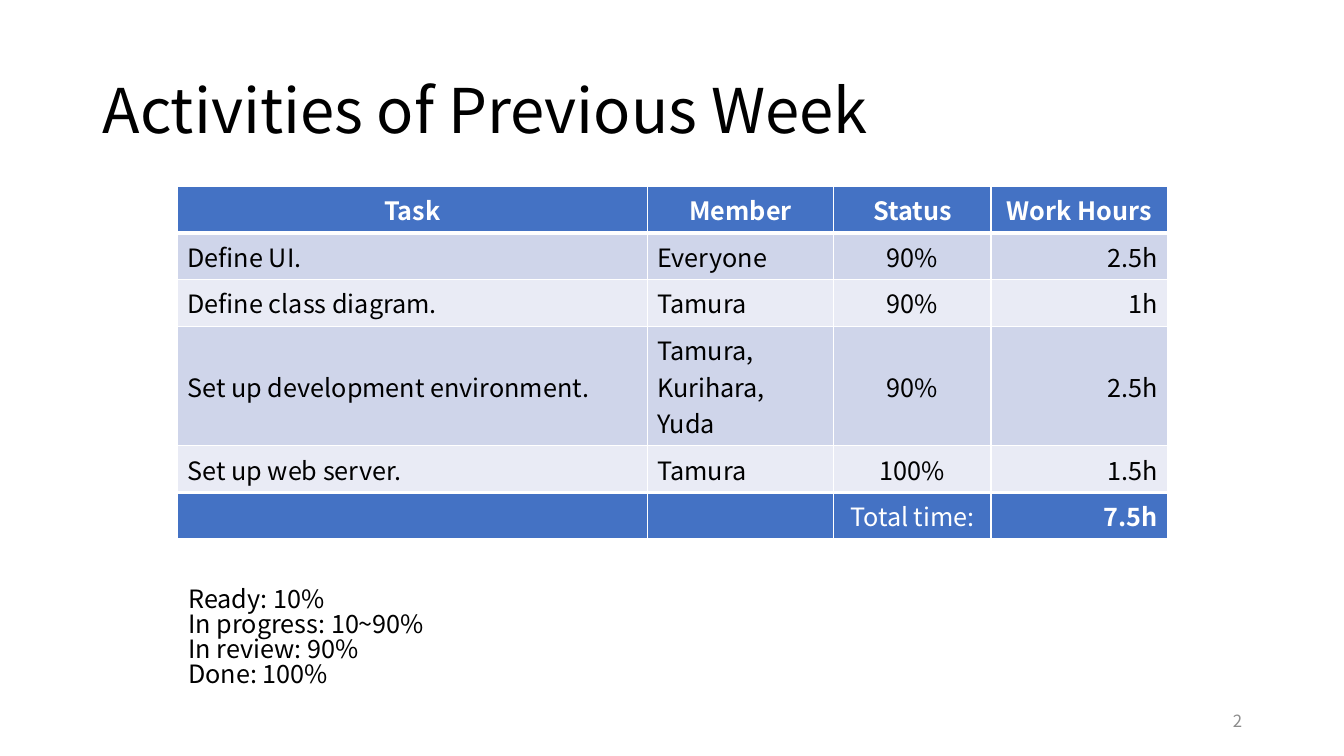
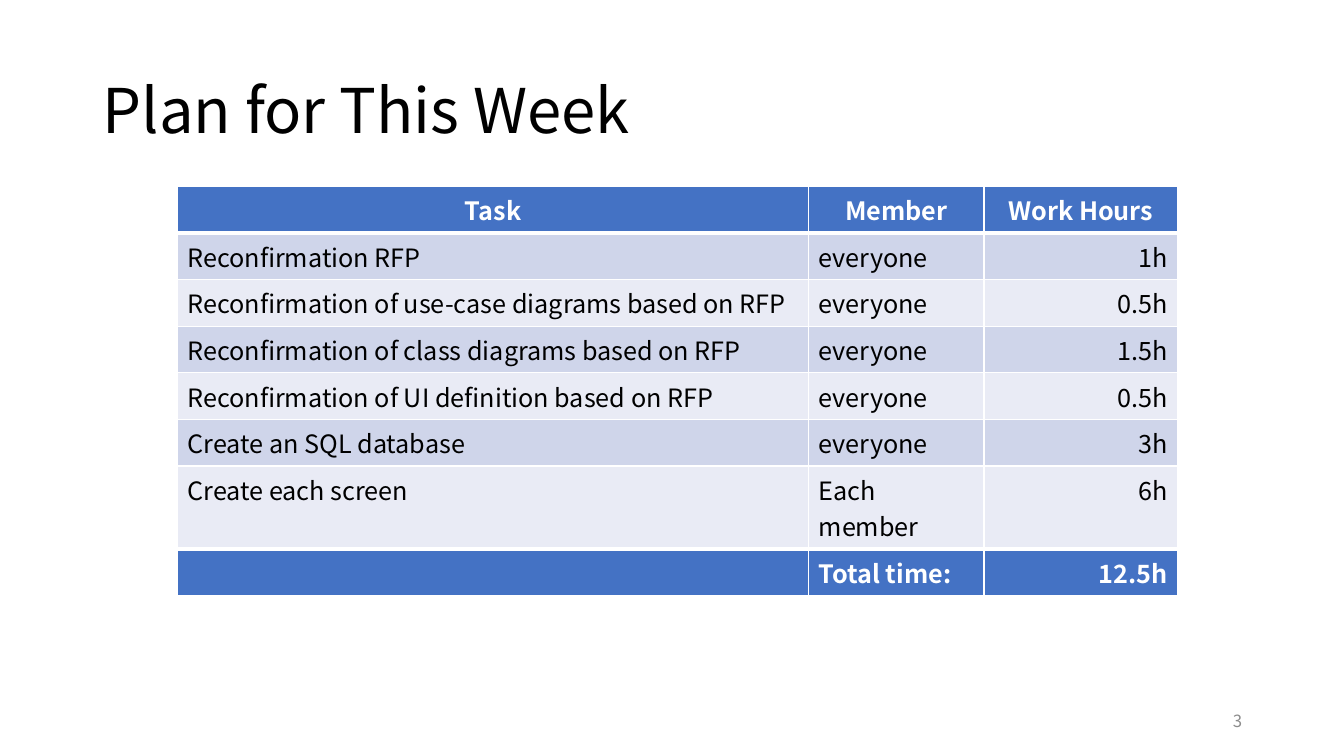
from dataclasses import dataclass

from lxml.etree import SubElement
from pptx import Presentation
from pptx.dml.color import RGBColor
from pptx.enum.text import MSO_ANCHOR as Anchor, MSO_AUTO_SIZE as AutoSize, PP_ALIGN as Align
from pptx.oxml.ns import qn
from pptx.slide import Slide
from pptx.table import _Cell as Cell
from pptx.text.text import TextFrame
from pptx.util import Inches, Pt

FONT = "Noto Sans CJK JP"
BLACK, WHITE, GRAY = "000000", "FFFFFF", "8C8C8C"
BLUE = "4472C4"
BANDS = ("CFD5EA", "E9EBF5")
THIN, THICK = 1, 3
TABLE_LEFT, TABLE_TOP = 1.76, 1.85


@dataclass
class Column:
    heading: str
    width: float
    align: Align = Align.LEFT


@dataclass
class Report:
    title: str
    number: int
    columns: list[Column]
    tasks: list[tuple[str, ...]]
    total: tuple[str, ...]
    bold_totals: tuple[str, ...]
    row_height: float
    anchor: Anchor
    legend: str = ""


REPORTS = [
    Report(
        title="Activities of Previous Week",
        number=2,
        columns=[
            Column("Task", 4.66),
            Column("Member", 1.85),
            Column("Status", 1.56, Align.CENTER),
            Column("Work Hours", 1.75, Align.RIGHT),
        ],
        tasks=[
            ("Define UI.", "Everyone", "90%", "2.5h"),
            ("Define class diagram.", "Tamura", "90%", "1h"),
            ("Set up development environment.", "Tamura, Kurihara,\nYuda", "90%", "2.5h"),
            ("Set up web server.", "Tamura", "100%", "1.5h"),
        ],
        total=("", "", "Total time:", "7.5h"),
        bold_totals=("7.5h",),
        row_height=0.32,
        anchor=Anchor.MIDDLE,
        legend="Ready: 10%\nIn progress: 10~90%\nIn review: 90%\nDone: 100%",
    ),
    Report(
        title="Plan for This Week",
        number=3,
        columns=[
            Column("Task", 6.26),
            Column("Member", 1.74),
            Column("Work Hours", 1.92, Align.RIGHT),
        ],
        tasks=[
            ("Reconfirmation RFP", "everyone", "1h"),
            ("Reconfirmation of use-case diagrams based on RFP", "everyone", "0.5h"),
            ("Reconfirmation of class diagrams based on RFP", "everyone", "1.5h"),
            ("Reconfirmation of UI definition based on RFP", "everyone", "0.5h"),
            ("Create an SQL database", "everyone", "3h"),
            ("Create each screen", "Each member", "6h"),
        ],
        total=("", "Total time:", "12.5h"),
        bold_totals=("Total time:", "12.5h"),
        row_height=0.41,
        anchor=Anchor.TOP,
    ),
]


def rgb(color: str) -> RGBColor:
    return RGBColor.from_string(color)


def write(frame: TextFrame, text: str, size: float, color: str, align: Align = Align.LEFT,
          bold: bool = False, spacing: float = 1.0) -> None:
    frame.text = text
    for para in frame.paragraphs:
        para.alignment = align
        para.line_spacing = spacing
        for span in para.runs:
            span.font.name = FONT
            span.font.size = Pt(size)
            span.font.bold = bold
            span.font.color.rgb = rgb(color)


def add_text(page: Slide, left: float, top: float, width: float, height: float,
             anchor: Anchor = Anchor.MIDDLE) -> TextFrame:
    box = page.shapes.add_textbox(Inches(left), Inches(top), Inches(width), Inches(height))
    frame = box.text_frame
    frame.word_wrap = True
    frame.auto_size = AutoSize.NONE
    frame.vertical_anchor = anchor
    return frame


def set_borders(cell: Cell, top: int, bottom: int) -> None:
    """Draw white borders, placed before the fill as the schema requires."""
    properties = cell._tc.get_or_add_tcPr()
    widths = {"a:lnL": THIN, "a:lnR": THIN, "a:lnT": top, "a:lnB": bottom}
    for index, (tag, width) in enumerate(widths.items()):
        line = SubElement(properties, qn(tag), w=str(Pt(width)))
        SubElement(SubElement(line, qn("a:solidFill")), qn("a:srgbClr"), val=WHITE)
        properties.insert(index, line)


def add_task_table(page: Slide, report: Report) -> None:
    headings = tuple(column.heading for column in report.columns)
    rows = [headings, *report.tasks, report.total]
    last = len(rows) - 1
    table = page.shapes.add_table(
        len(rows), len(headings), Inches(TABLE_LEFT), Inches(TABLE_TOP),
        Inches(sum(column.width for column in report.columns)),
        Inches(report.row_height * len(rows)),
    ).table
    table.first_row = table.horz_banding = False
    for index, column in enumerate(report.columns):
        table.columns[index].width = Inches(column.width)

    for row, texts in enumerate(rows):
        is_heading, is_total = row == 0, row == last
        is_accent = is_heading or is_total
        table.rows[row].height = Inches(report.row_height)
        for index, (column, text) in enumerate(zip(report.columns, texts)):
            cell = table.cell(row, index)
            cell.vertical_anchor = report.anchor
            cell.fill.solid()
            cell.fill.fore_color.rgb = rgb(BLUE if is_accent else BANDS[(row - 1) % 2])
            set_borders(cell,
                        top=THICK if row in (1, last) else THIN,
                        bottom=THICK if row in (0, last - 1) else THIN)
            write(cell.text_frame, text, 18,
                  WHITE if is_accent else BLACK,
                  Align.CENTER if is_heading else column.align,
                  bold=is_heading or (is_total and text in report.bold_totals))


def add_report(deck: Presentation, report: Report) -> None:
    page = deck.slides.add_slide(deck.slide_layouts[6])
    write(add_text(page, 0.92, 0.4, 11.5, 1.45), report.title, 44, BLACK, spacing=0.9)
    add_task_table(page, report)
    write(add_text(page, 9.42, 6.95, 3, 0.4), str(report.number), 12, GRAY, Align.RIGHT)
    if report.legend:
        write(add_text(page, 1.77, 5.79, 6.75, 1.31, Anchor.TOP), report.legend, 18, BLACK,
              spacing=0.83)


def main() -> None:
    deck = Presentation()
    deck.slide_width, deck.slide_height = Inches(13.33), Inches(7.5)
    for report in REPORTS:
        add_report(deck, report)
    deck.save("out.pptx")


if __name__ == "__main__":
    main()
